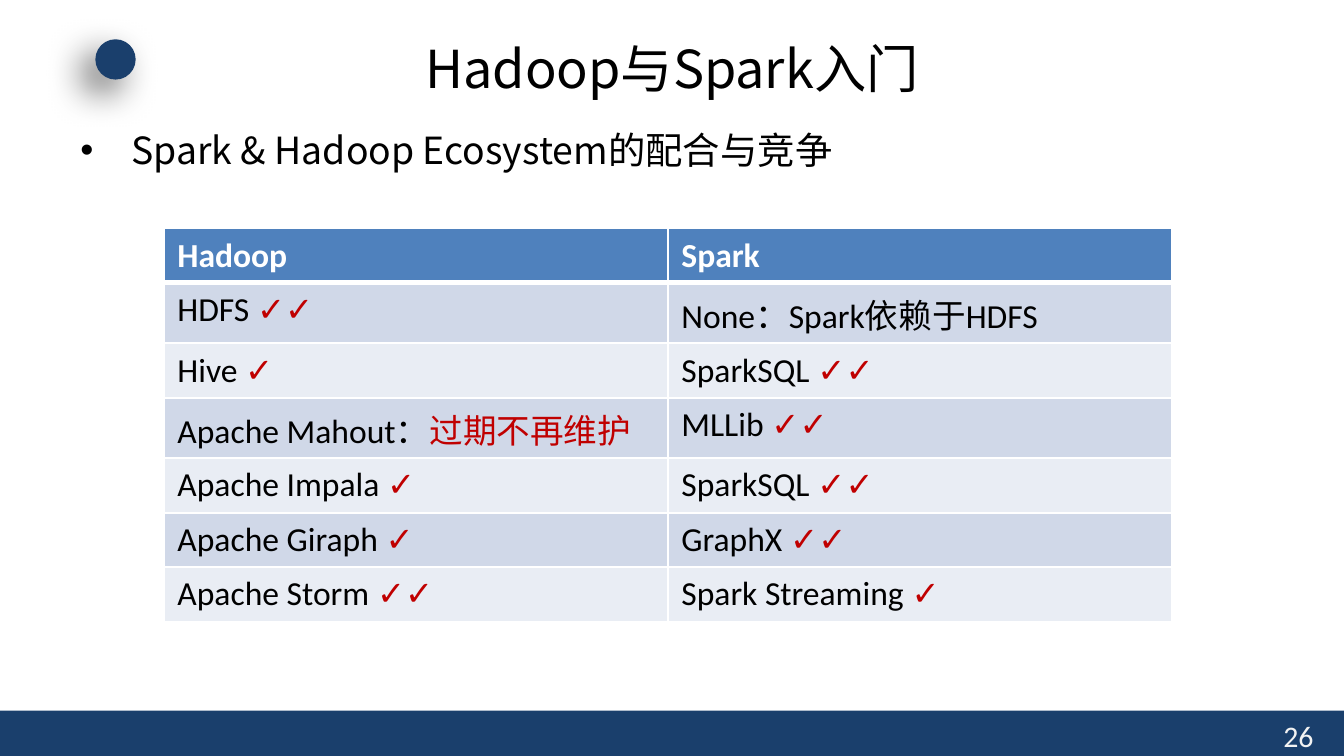
from lxml.etree import SubElement
from pptx import Presentation
from pptx.dml.color import RGBColor as RGB
from pptx.enum.shapes import MSO_SHAPE as SHAPE
from pptx.enum.text import MSO_ANCHOR as ANCHOR, PP_ALIGN as ALIGN
from pptx.oxml.ns import qn
from pptx.util import Inches, Pt

W = Inches(10)
H = W * 9 // 16
LATIN, CJK = "Calibri", "Noto Sans CJK SC"
COLORS = {
    "navy": "1A3F6C", "header": "4F81BD", "band": "D0D8E8", "plain": "E9EDF4",
    "text": "000000", "accent": "C00000", "white": "FFFFFF", "page": "F2F2F2",
}
HEADER = ("Hadoop", "Spark")
# Each cell holds its wording and the part set in the accent colour.
ROWS = [
    (("HDFS ", "✓✓"), ("None：Spark依赖于HDFS", "")),
    (("Hive ", "✓"), ("SparkSQL ", "✓✓")),
    (("Apache Mahout：", "过期不再维护"), ("MLLib ", "✓✓")),
    (("Apache Impala ", "✓"), ("SparkSQL ", "✓✓")),
    (("Apache Giraph ", "✓"), ("GraphX ", "✓✓")),
    (("Apache Storm ", "✓✓"), ("Spark Streaming ", "✓")),
]
TALL_ROW = Inches(0.45)


def color(name):
    return RGB.from_string(COLORS[name])


def place(x, y, w, h):
    """Turn percentages of the slide's size into lengths."""
    return tuple(round(share * side / 100)
                 for share, side in zip((x, y, w, h), (W, H, W, H)))


def add_run(p, text, size=18, font=LATIN, fill="text", bold=False):
    r = p.add_run()
    r.text = text
    r.font.size, r.font.name, r.font.bold = Pt(size), font, bold
    r.font.color.rgb = color(fill)
    SubElement(r._r.get_or_add_rPr(), qn("a:ea"), typeface=CJK)


def add_text(s, area, text, align=ALIGN.LEFT, anchor=ANCHOR.TOP, bullet=None, **fmt):
    tf = s.shapes.add_textbox(*place(*area)).text_frame
    tf.word_wrap = True
    tf.vertical_anchor = anchor
    p = tf.paragraphs[0]
    p.alignment = align
    if bullet:
        pPr = p._p.get_or_add_pPr()
        indent = Inches(0.38)
        pPr.set("marL", str(indent))
        pPr.set("indent", str(-indent))
        SubElement(pPr, qn("a:buFont"), typeface="Arial")
        SubElement(pPr, qn("a:buChar"), char=bullet)
    add_run(p, text, **fmt)


def add_block(s, kind, area, fill):
    sp = s.shapes.add_shape(kind, *place(*area))
    sp.shadow.inherit = False
    sp.fill.solid()
    sp.fill.fore_color.rgb = color(fill)
    sp.line.fill.background()
    return sp


def add_shadow(sp, blur, distance, degrees, alpha):
    effects = sp._element.spPr.find(qn("a:effectLst"))
    shadow = SubElement(effects, qn("a:outerShdw"), blurRad=str(Pt(blur)),
                        dist=str(Pt(distance)), dir=str(degrees * 60000),
                        algn="tr", rotWithShape="0")
    tint = SubElement(shadow, qn("a:srgbClr"), val=COLORS["text"])
    SubElement(tint, qn("a:alpha"), val=str(alpha * 1000))


def add_borders(cell, bottom):
    tcPr = cell._tc.get_or_add_tcPr()
    for side, width in (("L", 1), ("R", 1), ("T", 1), ("B", bottom)):
        line = SubElement(tcPr, qn("a:ln" + side), w=str(Pt(width)))
        SubElement(SubElement(line, qn("a:solidFill")), qn("a:srgbClr"),
                   val=COLORS["white"])


def fill_cell(cell, fill, *runs, bottom=1):
    add_borders(cell, bottom)
    cell.fill.solid()
    cell.fill.fore_color.rgb = color(fill)
    for text, fmt in runs:
        if text:
            add_run(cell.text_frame.paragraphs[0], text, **fmt)


def add_comparison(s, area):
    table = s.shapes.add_table(len(ROWS) + 1, len(HEADER), *place(*area)).table
    for c, name in enumerate(HEADER):
        fill_cell(table.cell(0, c), "header",
                  (name, {"fill": "white", "bold": True}), bottom=3)
    for r, row in enumerate(ROWS, 1):
        if any("：" in text for text, _ in row):
            table.rows[r].height = TALL_ROW
        for c, (text, mark) in enumerate(row):
            fill_cell(table.cell(r, c), "band" if r % 2 else "plain",
                      (text, {}), (mark, {"fill": "accent"}),
                      bottom=1)


def main():
    prs = Presentation()
    prs.slide_width, prs.slide_height = W, H
    s = prs.slides.add_slide(prs.slide_layouts[6])

    add_block(s, SHAPE.RECTANGLE, (0, 94, 100, 6), "navy")
    add_text(s, (94.5, 94, 5, 5.3), "26", size=16, fill="page")
    dot = add_block(s, SHAPE.OVAL, (7.1, 5.2, 3, 5.33), "navy")
    add_shadow(dot, blur=20, distance=10, degrees=135, alpha=60)

    add_text(s, (5, 16, 88.5, 76.6), "Spark & Hadoop Ecosystem的配合与竞争",
             align=ALIGN.JUSTIFY, bullet="•", size=20, font=CJK)
    add_comparison(s, (12.2, 30.2, 75, 50.5))
    add_text(s, (5, 4, 90, 9.8), "Hadoop与Spark入门",
             align=ALIGN.CENTER, anchor=ANCHOR.MIDDLE, size=28, font=CJK)

    prs.save("out.pptx")


if __name__ == "__main__":
    main()
